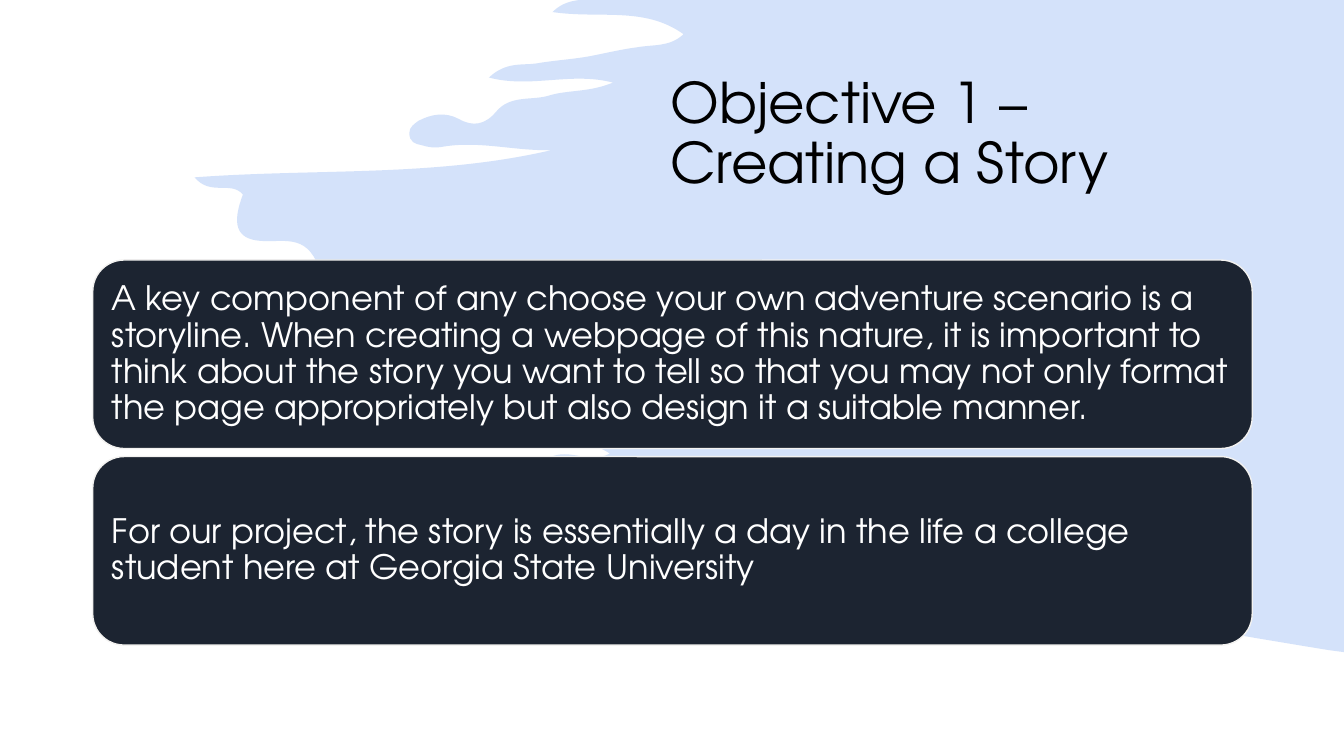
import dataclasses

import lxml.etree
import pptx
import pptx.dml.color
import pptx.enum.shapes
import pptx.enum.text
import pptx.oxml.ns
import pptx.util

EMU_PER_PX = 9144
FONT = "TeX Gyre Adventor"
COLORS = {
    "brush": "2971E7",
    "card": "1C2431",
    "card_line": "F3F2F0",
    "card_text": "FFFFFF",
    "title": "000000",
}
BRUSH_ALPHA = 20
BRUSH_START = (575, 0)
BRUSH_CORNERS = [(1333, 647), (1333, 0)]
BRUSH_CURVES = [
    (567, 1, 557, 3, 548, 12),
    (595, 19, 639, 6, 678, 34),
    (664, 47, 648, 44, 632, 47),
    (616, 49, 600, 53, 584, 56),
    (567, 59, 549, 60, 532, 63),
    (518, 65, 502, 61, 485, 77),
    (527, 88, 566, 71, 608, 82),
    (584, 92, 563, 89, 544, 95),
    (527, 100, 506, 94, 492, 111),
    (481, 124, 469, 126, 455, 118),
    (442, 111, 428, 113, 415, 120),
    (411, 123, 406, 126, 406, 132),
    (406, 141, 412, 143, 418, 144),
    (424, 146, 431, 147, 437, 146),
    (474, 139, 510, 150, 547, 149),
    (431, 176, 314, 167, 193, 176),
    (209, 195, 229, 179, 241, 193),
    (230, 222, 234, 237, 258, 239),
    (280, 241, 304, 231, 316, 265),
    (320, 276, 341, 273, 355, 275),
    (384, 279, 414, 275, 442, 288),
    (453, 293, 460, 297, 455, 311),
    (449, 325, 456, 330, 466, 336),
    (473, 340, 483, 339, 489, 352),
    (428, 350, 369, 340, 309, 350),
    (375, 374, 447, 373, 512, 402),
    (510, 412, 495, 407, 494, 422),
    (528, 438, 569, 427, 605, 450),
    (584, 461, 565, 444, 545, 454),
    (552, 469, 840, 561, 892, 571),
    (978, 587, 1195, 625, 1318, 645),
]


@dataclasses.dataclass
class Box:
    left: int
    top: int
    width: int
    height: int


@dataclasses.dataclass
class Card:
    box: Box
    text: str


CARD_TOP, CARD_HEIGHT, CARD_PITCH = 258, 187, 195
CARD_TEXTS = [
    "A key component of any choose your own adventure scenario is a storyline. "
    "When creating a webpage of this nature, it is important to think about the "
    "story you want to tell so that you may not only format the page "
    "appropriately but also design it a suitable manner.",
    "For our project, the story is essentially a day in the life a college "
    "student here at Georgia State University",
]
CARDS = [
    Card(Box(92, CARD_TOP + i * CARD_PITCH, 1150, CARD_HEIGHT), text)
    for i, text in enumerate(CARD_TEXTS)
]
TITLE_BOX = Box(655, 31, 586, 207)


def px(value: int) -> pptx.util.Emu:
    return pptx.util.Emu(value * EMU_PER_PX)


def rgb(name: str) -> pptx.dml.color.RGBColor:
    return pptx.dml.color.RGBColor.from_string(COLORS[name])


def set_attrs(obj, values: dict) -> None:
    for name, value in values.items():
        setattr(obj, name, value)


def write_text(sp, text: str, size: int, color: str, after: float) -> None:
    tf = sp.text_frame
    set_attrs(tf, {
        "word_wrap": True,
        "auto_size": pptx.enum.text.MSO_AUTO_SIZE.NONE,
        "vertical_anchor": pptx.enum.text.MSO_ANCHOR.MIDDLE,
        "margin_left": px(10),
        "margin_right": px(10),
    })
    p = tf.paragraphs[0]
    set_attrs(p, {
        "alignment": pptx.enum.text.PP_ALIGN.LEFT,
        "line_spacing": 0.9,
        "space_after": pptx.util.Pt(after),
    })
    r = p.add_run()
    r.text = text
    set_attrs(r.font, {"name": FONT, "size": pptx.util.Pt(size)})
    r.font.color.rgb = rgb(color)


def bend_segments(sp) -> None:
    qn = pptx.oxml.ns.qn
    segments = list(sp.element.spPr.iter(qn("a:lnTo")))
    for segment, (x1, y1, x2, y2, _, _) in zip(segments, BRUSH_CURVES):
        segment.tag = qn("a:cubicBezTo")
        for i, (x, y) in enumerate([(x1, y1), (x2, y2)]):
            pt = lxml.etree.Element(qn("a:pt"))
            pt.set("x", str(px(x) - sp.left))
            pt.set("y", str(px(y) - sp.top))
            segment.insert(i, pt)


def draw_brush(s) -> None:
    builder = s.shapes.build_freeform(*map(px, BRUSH_START))
    points = [curve[4:] for curve in BRUSH_CURVES] + BRUSH_CORNERS
    builder.add_line_segments([(px(x), px(y)) for x, y in points])
    sp = builder.convert_to_shape()
    bend_segments(sp)
    sp.shadow.inherit = False
    sp.fill.solid()
    sp.fill.fore_color.rgb = rgb("brush")
    sp.line.fill.background()
    qn = pptx.oxml.ns.qn
    color = sp.element.spPr.find(f"{qn('a:solidFill')}/{qn('a:srgbClr')}")
    lxml.etree.SubElement(color, qn("a:alpha")).set("val", str(BRUSH_ALPHA * 1000))
    s.shapes.title.element.addprevious(sp.element)


def draw_title(s) -> None:
    sp = s.shapes.title
    set_attrs(sp, {k: px(v) for k, v in dataclasses.asdict(TITLE_BOX).items()})
    write_text(sp, "Objective 1 – Creating a Story", 40, "title", 0)


def draw_card(s, card: Card) -> None:
    box = map(px, dataclasses.astuple(card.box))
    sp = s.shapes.add_shape(pptx.enum.shapes.MSO_SHAPE.ROUNDED_RECTANGLE, *box)
    sp.shadow.inherit = False
    sp.fill.solid()
    sp.fill.fore_color.rgb = rgb("card")
    sp.line.color.rgb = rgb("card_line")
    sp.line.width = pptx.util.Pt(1)
    write_text(sp, card.text, 24, "card_text", 8.4)


def main() -> None:
    prs = pptx.Presentation()
    set_attrs(prs, {"slide_width": px(1333), "slide_height": px(750)})
    s = prs.slides.add_slide(prs.slide_layouts.get_by_name("Title Only"))
    draw_brush(s)
    draw_title(s)
    for card in CARDS:
        draw_card(s, card)
    prs.save("out.pptx")


if __name__ == "__main__":
    main()
